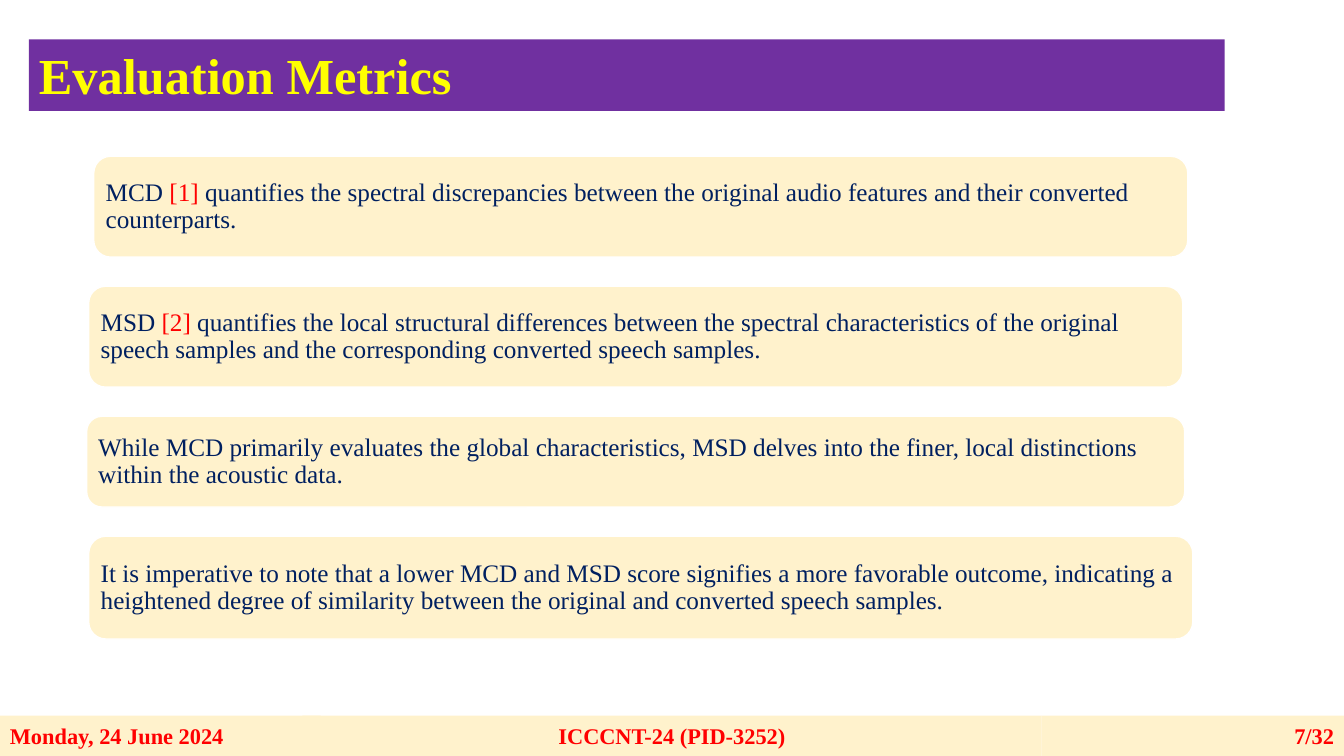
import collections

import pptx
import pptx.dml.color
import pptx.enum.shapes
import pptx.enum.text
import pptx.util

RGBColor = pptx.dml.color.RGBColor
SHAPE = pptx.enum.shapes.MSO_SHAPE
ALIGN = pptx.enum.text.PP_ALIGN
ANCHOR = pptx.enum.text.MSO_ANCHOR

CREAM = RGBColor(0xFF, 0xF2, 0xCC)
PURPLE = RGBColor(0x70, 0x30, 0xA0)
YELLOW = RGBColor(0xFF, 0xFF, 0x00)
RED = RGBColor(0xFF, 0x00, 0x00)
NAVY = RGBColor(0x00, 0x20, 0x60)
WHITE = RGBColor(0xFF, 0xFF, 0xFF)
FONT = "Times New Roman"

Box = collections.namedtuple("Box", "left top width height")

# Left and width in percent of the body width, height in percent of its height
CARD_GAP = 6.05
METRIC_CARDS = [
    (0.64, 98.91, 20.88, [
        ("MCD ", NAVY), ("[1]", RED),
        (" quantifies the spectral discrepancies between the original audio "
         "features and their converted counterparts.", NAVY)]),
    (0.18, 98.91, 20.88, [
        ("MSD ", NAVY), ("[2]", RED),
        (" quantifies the local structural differences between the spectral "
         "characteristics of the original speech samples and the corresponding "
         "converted speech samples.", NAVY)]),
    (0, 99.27, 18.79, [
        ("While MCD primarily evaluates the global characteristics, MSD delves "
         "into the finer, local distinctions within the acoustic data.", NAVY)]),
    (0.18, 99.82, 21.29, [
        ("It is imperative to note that a lower MCD and MSD score signifies a "
         "more favorable outcome, indicating a heightened degree of similarity "
         "between the original and converted speech samples.", NAVY)]),
]

# Left and width in percent of the footer width
FOOTER_PARTS = [
    (0, 23.86, ALIGN.LEFT, "Monday, 24 June 2024"),
    (22.5, 55, ALIGN.CENTER, "ICCCNT-24 (PID-3252)"),
    (77.5, 22.5, ALIGN.RIGHT, "7/32"),
]


def share(box, left, top, width, height):
    """Return the part of box given in percent of its size."""
    return Box(round(box.left + box.width * left / 100),
               round(box.top + box.height * top / 100),
               round(box.width * width / 100),
               round(box.height * height / 100))


def add_panel(slide, box, outline, fill, runs, size, bold=False,
              align=ALIGN.LEFT, anchor=ANCHOR.MIDDLE):
    """Add a filled shape with one paragraph of (text, colour) runs."""
    panel = slide.shapes.add_shape(outline, *box)
    panel.shadow.inherit = False
    panel.fill.solid()
    panel.fill.fore_color.rgb = fill
    panel.line.fill.background()
    frame = panel.text_frame
    frame.word_wrap = True
    frame.vertical_anchor = anchor
    paragraph = frame.paragraphs[0]
    paragraph.alignment = align
    for text, colour in runs:
        run = paragraph.add_run()
        run.text = text
        run.font.name = FONT
        run.font.size = pptx.util.Pt(size)
        run.font.bold = bold
        run.font.color.rgb = colour
    return panel


def add_footer(slide, box):
    for left, width, align, text in FOOTER_PARTS:
        add_panel(slide, share(box, left, 0, width, 100), SHAPE.RECTANGLE,
                  CREAM, [(text, RED)], 16, bold=True, align=align)


def add_title(slide, box):
    add_panel(slide, box, SHAPE.RECTANGLE, PURPLE,
              [("Evaluation Metrics", YELLOW)], 36, bold=True,
              anchor=ANCHOR.TOP)


def add_metric_cards(slide, box):
    top = 0
    for left, width, height, runs in METRIC_CARDS:
        card = add_panel(slide, share(box, left, top, width, height),
                         SHAPE.ROUNDED_RECTANGLE, CREAM, runs, 18)
        card.line.color.rgb = WHITE
        card.line.width = pptx.util.Pt(1)
        frame = card.text_frame
        frame.margin_left = frame.margin_right = pptx.util.Inches(0.07)
        frame.margin_top = frame.margin_bottom = pptx.util.Inches(0.07)
        frame.paragraphs[0].line_spacing = 0.9
        top += height + CARD_GAP


def main():
    deck = pptx.Presentation()
    deck.slide_width = pptx.util.Inches(13.33)
    deck.slide_height = pptx.util.Inches(7.5)
    slide = deck.slides.add_slide(deck.slide_layouts[6])
    page = Box(0, 0, deck.slide_width, deck.slide_height)
    add_footer(slide, share(page, 0, 94.67, 100, 5.33))
    add_title(slide, share(page, 2.15, 5.2, 88.97, 9.47))
    add_metric_cards(slide, share(page, 6.45, 20.67, 82.3, 63.87))
    deck.save("out.pptx")


if __name__ == "__main__":
    main()
